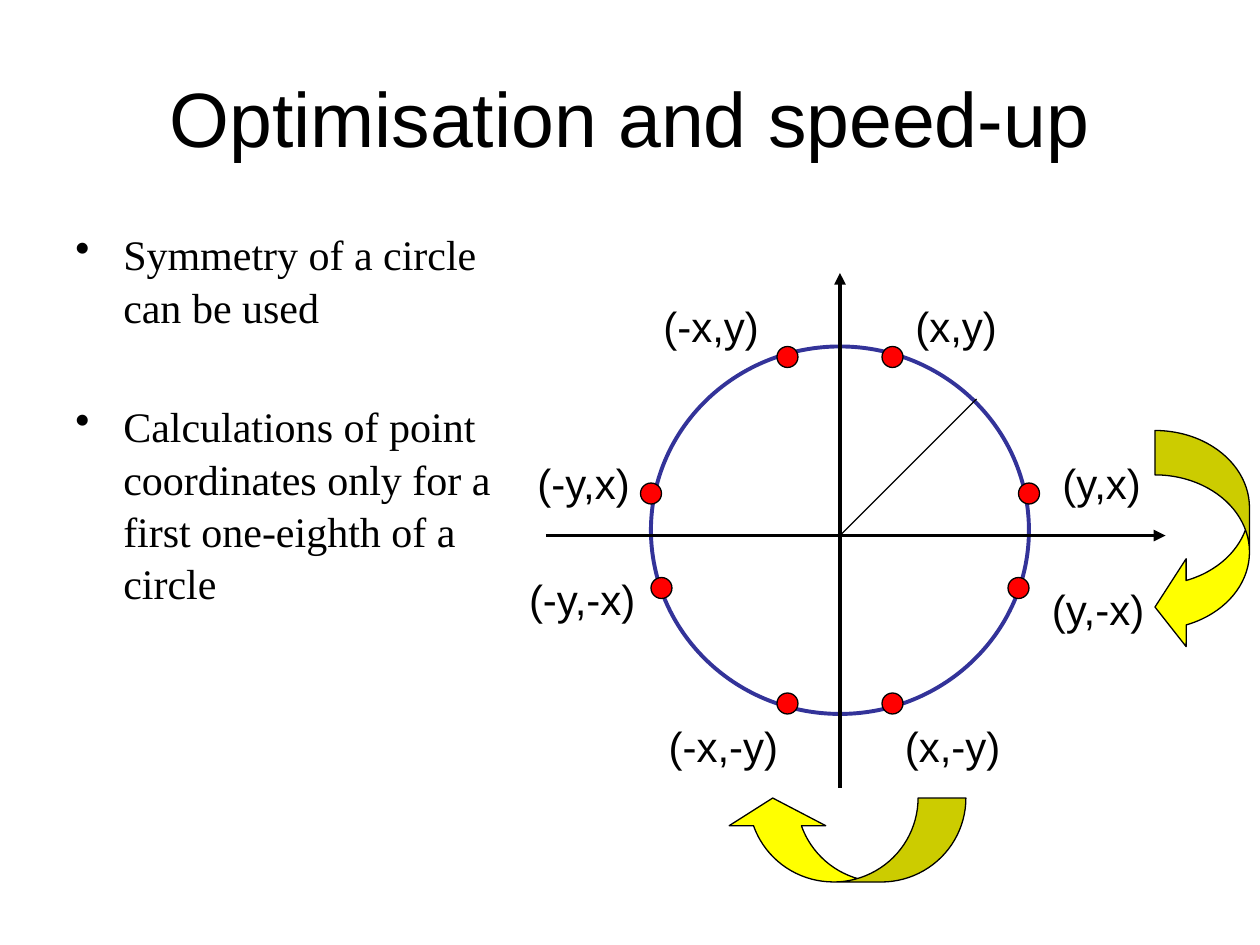
from dataclasses import dataclass
from typing import Optional

from lxml.etree import SubElement
from pptx import Presentation
from pptx.dml.color import RGBColor
from pptx.enum.shapes import MSO_CONNECTOR, MSO_SHAPE
from pptx.enum.text import MSO_ANCHOR, MSO_AUTO_SIZE, PP_ALIGN
from pptx.oxml.ns import qn
from pptx.util import Inches, Pt

COLORS = {"ink": "000000", "circle": "333399", "dot": "FF0000", "arrow": "FFFF00"}
CELLS_PER_INCH = 12  # the slide is a grid of 120 columns by 90 rows
DOT_SIZE = 2
LABEL_HEIGHT = 6


@dataclass(frozen=True)
class Box:
    column: float
    row: float
    columns: float
    rows: float

    def lengths(self) -> list:
        return [cells(n) for n in (self.column, self.row, self.columns, self.rows)]


@dataclass(frozen=True)
class CirclePoint:
    """A dot on the circle and the label next to it."""
    text: str
    dot: tuple
    label: tuple
    label_width: float


@dataclass(frozen=True)
class Line:
    start: tuple
    end: tuple
    weight: float
    has_arrowhead: bool


@dataclass(frozen=True)
class CurvedArrow:
    kind: MSO_SHAPE
    box: Box
    adjustments: tuple
    flipped: bool


TITLE_BOX = Box(6, 3.6, 108, 15)
BODY_BOX = Box(6, 21, 42.4, 48.4)
CIRCLE_BOX = Box(62, 33, 36, 35)
BULLETS = (
    "Symmetry of a circle can be used",
    "Calculations of point coordinates only for a first one-eighth of a circle",
)
LINES = (
    Line((80, 75), (80, 26), 2.25, True),
    Line((52, 51), (111, 51), 2.25, True),
    Line((80, 51), (93, 38), 0.75, False),
)
POINTS = (
    CirclePoint("(x,y)", (84, 33), (86, 28), 10.2),
    CirclePoint("(y,x)", (97, 46), (100, 43), 10.2),
    CirclePoint("(x,-y)", (84, 66), (85, 68), 11.5),
    CirclePoint("(y,-x)", (96, 55), (99, 55), 11.5),
    CirclePoint("(-x,y)", (74, 33), (62, 28), 11.5),
    CirclePoint("(-y,x)", (61, 46), (50, 43), 11.5),
    CirclePoint("(-y,-x)", (62, 55), (49.2, 54), 12.8),
    CirclePoint("(-x,-y)", (74, 66), (62.5, 68), 12.8),
)
CURVED_ARROWS = (
    CurvedArrow(MSO_SHAPE.CURVED_LEFT_ARROW, Box(110, 41, 9, 21), (0.47, 0.93, 0.33), False),
    CurvedArrow(MSO_SHAPE.CURVED_UP_ARROW, Box(69, 76, 23, 8), (0.57, 1.15, 0.33), True),
)


def cells(count: float) -> int:
    return Inches(count / CELLS_PER_INCH)


def color(name: str) -> RGBColor:
    return RGBColor.from_string(COLORS[name])


def style_font(paragraph, name: str, size: float) -> None:
    for run in paragraph.runs:
        run.font.name = name
        run.font.size = Pt(size)
        run.font.color.rgb = color("ink")


def add_text(slide, box: Box, text: str, size: float, wrap: bool):
    shape = slide.shapes.add_textbox(*box.lengths())
    text_frame = shape.text_frame
    text_frame.text = text
    text_frame.word_wrap = wrap
    style_font(text_frame.paragraphs[0], "Arial", size)
    return shape


def add_title(slide) -> None:
    text_frame = add_text(slide, TITLE_BOX, "Optimisation and speed-up", 44, True).text_frame
    text_frame.vertical_anchor = MSO_ANCHOR.MIDDLE
    text_frame.paragraphs[0].alignment = PP_ALIGN.CENTER


def add_bullets(slide) -> None:
    text_frame = slide.shapes.add_textbox(*BODY_BOX.lengths()).text_frame
    text_frame.text = "\n".join(BULLETS)
    text_frame.word_wrap = True
    for index, paragraph in enumerate(text_frame.paragraphs):
        properties = paragraph._p.get_or_add_pPr()
        properties.set("marL", str(Inches(0.38)))
        properties.set("indent", str(-Inches(0.38)))
        SubElement(properties, qn("a:buChar"), char="•")
        paragraph.line_spacing = 1.04
        if index:
            paragraph.space_before = Pt(38.5)
        style_font(paragraph, "Times New Roman", 24)


def add_outlined_shape(slide, kind: MSO_SHAPE, box: Box, fill: Optional[str],
                       line: str = "ink", weight: float = 0.75):
    shape = slide.shapes.add_shape(kind, *box.lengths())
    shape.shadow.inherit = False
    if fill:
        shape.fill.solid()
        shape.fill.fore_color.rgb = color(fill)
    else:
        shape.fill.background()
    shape.line.color.rgb = color(line)
    shape.line.width = Pt(weight)
    return shape


def add_line(slide, line: Line) -> None:
    ends = [cells(n) for n in (*line.start, *line.end)]
    connector = slide.shapes.add_connector(MSO_CONNECTOR.STRAIGHT, *ends)
    connector.line.color.rgb = color("ink")
    connector.line.width = Pt(line.weight)
    if line.has_arrowhead:
        SubElement(connector.line._get_or_add_ln(), qn("a:tailEnd"), type="triangle")
    SubElement(connector._element.spPr, qn("a:effectLst"))


def add_label(slide, point: CirclePoint) -> None:
    box = Box(*point.label, point.label_width, LABEL_HEIGHT)
    shape = add_text(slide, box, point.text, 24, False)
    shape.text_frame.auto_size = MSO_AUTO_SIZE.SHAPE_TO_FIT_TEXT


def add_curved_arrow(slide, arrow: CurvedArrow) -> None:
    shape = add_outlined_shape(slide, arrow.kind, arrow.box, "arrow")
    for index, value in enumerate(arrow.adjustments):
        shape.adjustments[index] = value
    if arrow.flipped:
        shape._element.spPr.xfrm.set("flipH", "1")


def main() -> None:
    presentation = Presentation()
    presentation.slide_width = cells(120)
    presentation.slide_height = cells(90)
    slide = presentation.slides.add_slide(presentation.slide_layouts[6])

    # Text
    add_title(slide)
    add_bullets(slide)

    # Circle, axes and diagonal
    add_outlined_shape(slide, MSO_SHAPE.OVAL, CIRCLE_BOX, None, "circle", 2.25)
    for line in LINES:
        add_line(slide, line)

    # Symmetric points with their coordinates
    for point in POINTS:
        add_outlined_shape(slide, MSO_SHAPE.OVAL, Box(*point.dot, DOT_SIZE, DOT_SIZE), "dot")
        add_label(slide, point)

    # Reflection arrows
    for arrow in CURVED_ARROWS:
        add_curved_arrow(slide, arrow)

    presentation.save("out.pptx")


if __name__ == "__main__":
    main()
